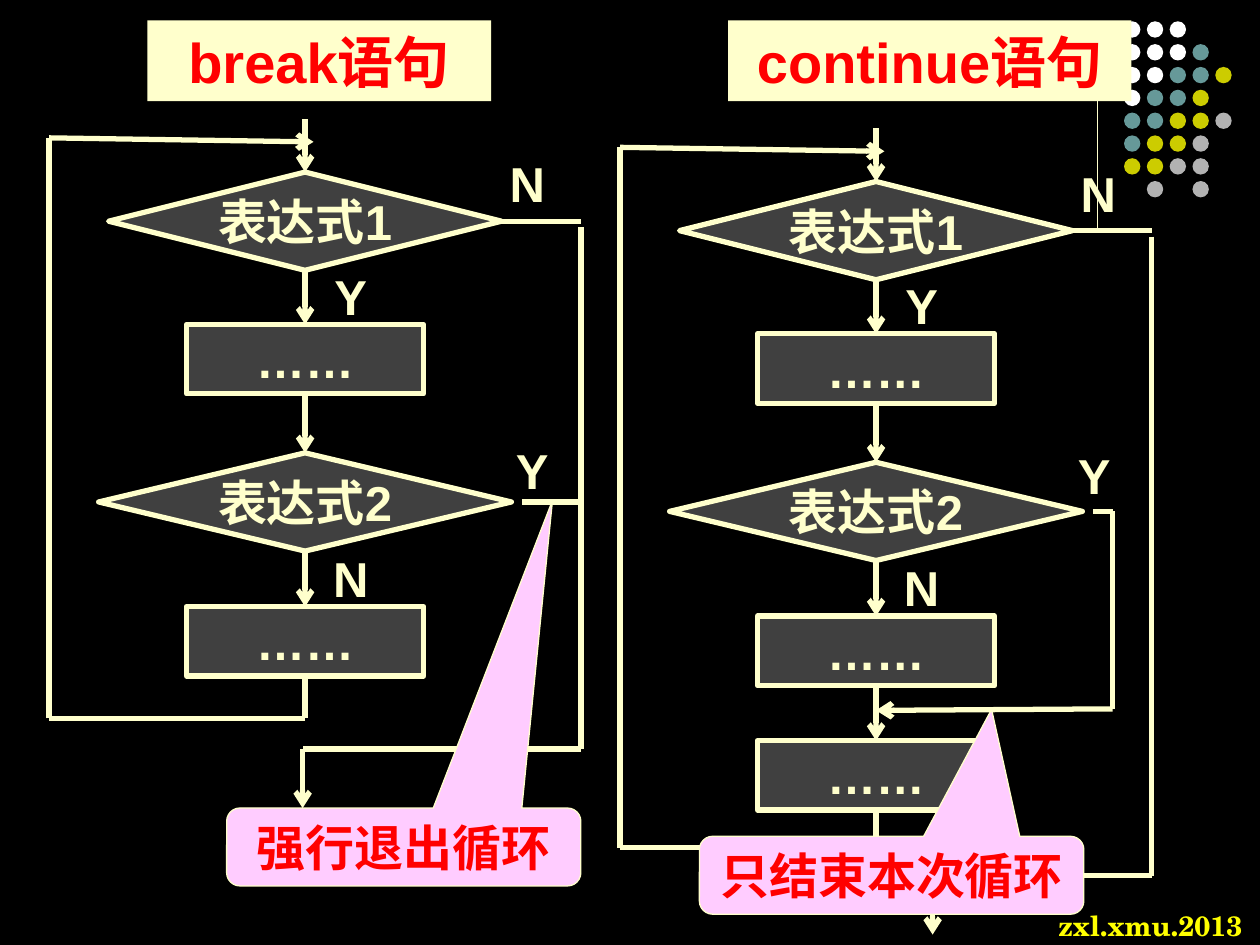
from lxml import etree
from pptx import Presentation
from pptx.dml.color import RGBColor
from pptx.enum.shapes import MSO_CONNECTOR, MSO_SHAPE
from pptx.enum.text import MSO_ANCHOR, PP_ALIGN
from pptx.oxml.ns import qn
from pptx.util import Cm, Pt

STRAIGHT = MSO_CONNECTOR.STRAIGHT
RECT, OVAL = MSO_SHAPE.RECTANGLE, MSO_SHAPE.OVAL
TEST, STEP = MSO_SHAPE.FLOWCHART_DECISION, MSO_SHAPE.FLOWCHART_PROCESS
BUBBLE = MSO_SHAPE.ROUNDED_RECTANGULAR_CALLOUT
MIDDLE, CENTER = MSO_ANCHOR.MIDDLE, PP_ALIGN.CENTER
TOP, BOTTOM, RIGHT = 0, 2, 3

BLACK = RGBColor(0x00, 0x00, 0x00)
CREAM = RGBColor(0xFF, 0xFF, 0xCC)
GRAY = RGBColor(0x40, 0x40, 0x40)
PINK = RGBColor(0xFF, 0xCC, 0xFF)
RED = RGBColor(0xFF, 0x00, 0x00)
YELLOW = RGBColor(0xFF, 0xFF, 0x00)
DOTS = {
    "W": RGBColor(0xFF, 0xFF, 0xFF),
    "T": RGBColor(0x66, 0x99, 0x99),
    "Y": RGBColor(0xCC, 0xCC, 0x00),
    "G": RGBColor(0xB2, 0xB2, 0xB2),
}
ROWS = ["WWW", "WWWT", "WWTTY", "WTTY", "TTYYG", "TYYG", "YYGG", " G G"]

BODY = {"name": "Arial", "size": Pt(28), "bold": True}
HEAD = {"name": "Arial", "size": Pt(32), "bold": True}
MARK = {"name": "TeX Gyre Schola", "size": Pt(16), "bold": True}
BARE = {"margin_left": 0, "margin_top": 0, "margin_right": 0,
        "margin_bottom": 0, "word_wrap": False, "vertical_anchor": MIDDLE}
LOOSE = {"word_wrap": False, "vertical_anchor": MIDDLE}
WRAP = {"word_wrap": True}

AXIS, EDGE, BACK = 5.16, 10.72, 0.38


def write(shape, text, font, color, frame):
    """Put one centred line of text in a shape."""
    body = shape.text_frame
    for key, value in frame.items():
        setattr(body, key, value)
    para = body.paragraphs[0]
    para.alignment = CENTER
    run = para.add_run()
    run.text = text
    for key, value in font.items():
        setattr(run.font, key, value)
    run.font.color.rgb = color


def form(slide, kind, box, fill, width=0):
    """Draw a filled shape, outlined when a width is given."""
    shape = slide.shapes.add_shape(kind, *map(Cm, box))
    shape.shadow.inherit = False
    shape.fill.solid()
    shape.fill.fore_color.rgb = fill
    if width:
        shape.line.color.rgb = CREAM
        shape.line.width = Pt(width)
    else:
        shape.line.fill.background()
    return shape


def label(slide, box, text, font=BODY, color=CREAM, frame=WRAP):
    """Place a text box."""
    write(slide.shapes.add_textbox(*map(Cm, box)), text, font, color, frame)


def line(slide, start, end, arrow=False, width=3):
    """Draw a straight line, with an arrowhead if asked."""
    link = slide.shapes.add_connector(STRAIGHT, *map(Cm, (*start, *end)))
    link.line.color.rgb = CREAM
    link.line.width = Pt(width)
    if arrow:
        tail = etree.SubElement(link.line._get_or_add_ln(), qn("a:tailEnd"))
        tail.set("type", "arrow")
    etree.SubElement(link._element.spPr, qn("a:effectLst"))
    return link


def trim(slide, left, top):
    """Draw the corner rule, the grid of dots and the page mark."""
    line(slide, (left, top), (left, top + 4.22), width=0.75)
    for row, marks in enumerate(ROWS):
        for col, mark in enumerate(marks):
            if mark in DOTS:
                spot = (left + 0.54 + col * 0.46, top + row * 0.46)
                form(slide, OVAL, (*spot, 0.33, 0.33), DOTS[mark])
    label(slide, (left - 1.14, top + 17.76, 4.42, 0.94), "zxl.xmu.2013",
          MARK, YELLOW, {"word_wrap": False})


def flow(slide, left, top, steps, foot, base, out):
    """Draw a loop chart and return a function that offsets points."""
    def at(x, y):
        return left + x, top + y

    def node(kind, y, width, height, text):
        spot = at(AXIS - width / 2, y)
        shape = form(slide, kind, (*spot, width, height), GRAY, 3)
        write(shape, text, BODY, CREAM, BARE)
        return shape

    nodes = [
        node(TEST, 1.07, 7.92, 1.98, "表达式1"),
        node(STEP, 4.14, 4.78, 1.4, "……"),
        node(TEST, 6.73, 8.32, 1.98, "表达式2"),
    ] + [node(STEP, y, 4.78, 1.4, "……") for y in steps]
    for above, below in zip(nodes, nodes[1:]):
        link = line(slide, at(AXIS, 0), at(AXIS, 1), True)
        link.begin_connect(above, BOTTOM)
        link.end_connect(below, TOP)

    entry = line(slide, at(AXIS, 0), at(AXIS, 1.07), True)
    entry.end_connect(nodes[0], TOP)
    leave = line(slide, at(9.12, 2.06), at(EDGE, 2.06))
    leave.begin_connect(nodes[0], RIGHT)
    down = line(slide, at(AXIS, foot - 0.8), at(AXIS, foot))
    down.begin_connect(nodes[-1], BOTTOM)
    line(slide, at(AXIS, foot), at(0, foot))
    line(slide, at(0, foot), at(0, BACK))
    line(slide, at(0, BACK), at(5.33, BACK + 0.08), True)
    line(slide, at(EDGE, 2.18), at(EDGE, base))
    line(slide, at(EDGE, base), at(5.11, base))
    line(slide, at(out, base), at(out, base + 1.19), True)
    for x, y, text in [(8.94, 0.58, "N"), (5.38, 2.84, "Y"),
                       (5.38, 8.53, "N")]:
        label(slide, (*at(x, y), 1.4, 1.45), text)
    return at


def note(slide, box, text, tip):
    """Draw a callout whose tip is given as shares of its size."""
    shape = form(slide, BUBBLE, box, PINK, 0.75)
    for index, value in enumerate((*tip, 0.17)):
        shape.adjustments[index] = value
    write(shape, text, BODY, RED, LOOSE)


def title(slide, box, text):
    """Draw a heading plate."""
    write(form(slide, RECT, box, CREAM), text, HEAD, RED,
          {**WRAP, "vertical_anchor": MIDDLE})


def stop(slide, left, top):
    """Draw the break chart."""
    at = flow(slide, left, top, [9.83], 12.08, 12.7, 5.11)
    line(slide, at(9.53, 7.72), at(EDGE, 7.72))
    label(slide, (*at(9.12, 6.35), 1.24, 1.45), "Y")
    title(slide, (*at(1.98, -1.99), 6.93, 1.63), "break语句")
    note(slide, (*at(3.58, 13.89), 7.14, 1.57), "强行退出循环", (0.42, -4.45))


def skip(slide, left, top):
    """Draw the continue chart."""
    at = flow(slide, left, top, [9.83, 12.34], 14.5, 15.06, 6.3)
    line(slide, at(9.53, 7.72), at(9.93, 7.72))
    line(slide, at(9.93, 7.72), at(9.93, 11.7))
    line(slide, at(9.93, 11.7), at(AXIS, 11.73), True)
    label(slide, (*at(8.94, 6.27), 1.24, 1.45), "Y")
    title(slide, (*at(2.18, -2.18), 8.13, 1.63), "continue语句")
    note(slide, (*at(1.6, 14.27), 7.75, 1.57), "只结束本次循环", (0.26, -2.13))


def main():
    """Build and save the slide."""
    deck = Presentation()
    deck.slide_width, deck.slide_height = Cm(25.4), Cm(19.05)
    slide = deck.slides.add_slide(deck.slide_layouts[6])
    slide.background.fill.solid()
    slide.background.fill.fore_color.rgb = BLACK
    trim(slide, 22.12, 0.43)
    skip(slide, 12.5, 2.59)
    stop(slide, 0.99, 2.4)
    deck.save("out.pptx")


if __name__ == "__main__":
    main()
